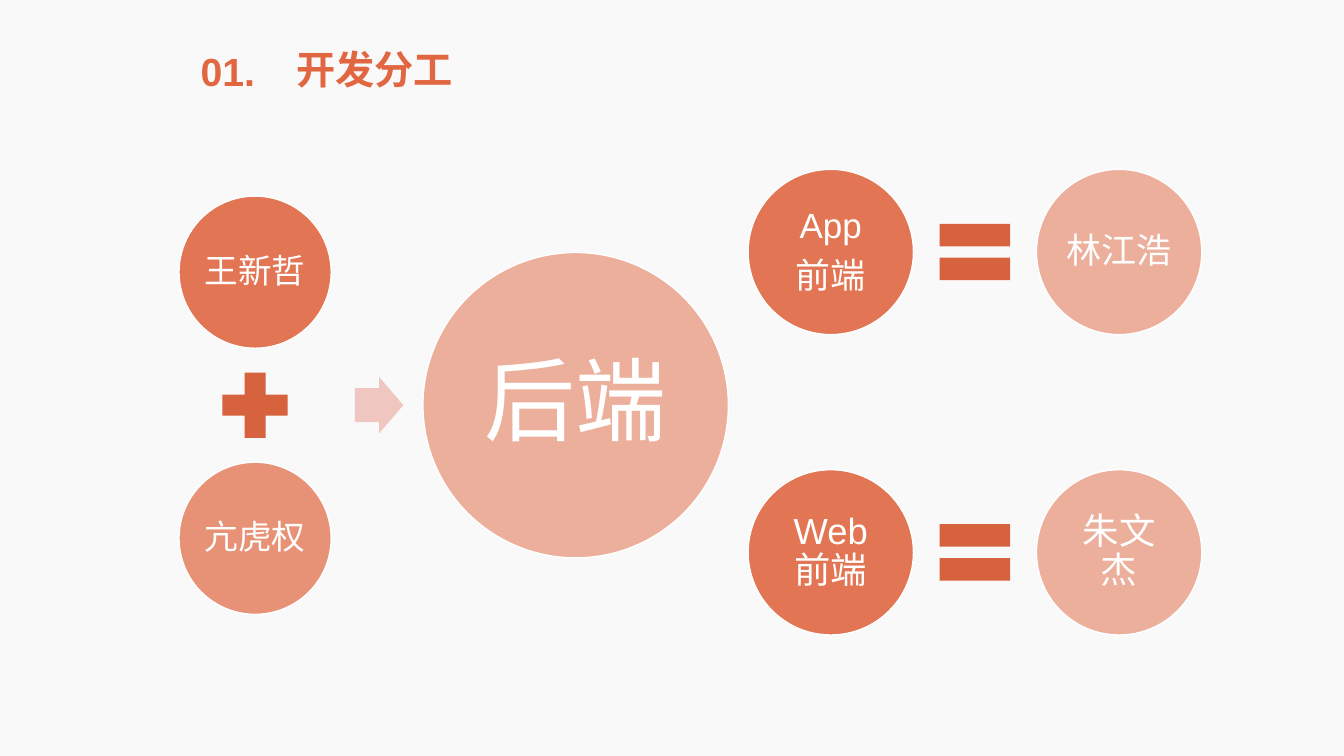
from dataclasses import dataclass

from lxml.etree import SubElement as Sub
from pptx import Presentation
from pptx.dml.color import RGBColor as RGB
from pptx.enum.shapes import MSO_SHAPE as Kind
from pptx.enum.text import MSO_ANCHOR as Anchor, MSO_AUTO_SIZE as Fit, PP_ALIGN as Align
from pptx.oxml.ns import qn
from pptx.util import Inches, Pt


@dataclass(frozen=True)
class Theme:
    back: str = "F9F9F9"
    main: str = "E06741"
    sign: str = "D6623E"
    arrow: str = "F0C7C0"
    white: str = "FFFFFF"
    font: str = "Arial"
    title: int = 28
    name: int = 24
    app: int = 25
    web: int = 26
    hub: int = 65


def put(item, form):
    for key, val in form.items():
        setattr(item, key, val)


class Board:
    def __init__(self, slide, theme):
        self.slide, self.theme = slide, theme
        self.paint(slide.background.fill, theme.back)

    def paint(self, fill, color):
        fill.solid()
        fill.fore_color.rgb = RGB.from_string(color)

    def style(self, para, size, color, bold=False):
        put(para.font, {"name": self.theme.font, "size": Pt(size), "bold": bold})
        para.font.color.rgb = RGB.from_string(color)

    def title(self, text, x, y, wide, align):
        box = self.slide.shapes.add_textbox(Inches(x), Inches(y), Inches(wide), Inches(0.57))
        frame = box.text_frame
        put(frame, {"text": text, "word_wrap": False, "auto_size": Fit.SHAPE_TO_FIT_TEXT})
        para = frame.paragraphs[0]
        para.alignment = align
        self.style(para, self.theme.title, self.theme.main, True)

    def shape(self, kind, x, y, wide, high, color):
        """Add a plain filled shape centred on x, y."""
        item = self.slide.shapes.add_shape(
            kind, Inches(x - wide / 2), Inches(y - high / 2), Inches(wide), Inches(high))
        item.shadow.inherit = False
        self.paint(item.fill, color)
        item.line.fill.background()
        return item

    def disc(self, text, x, y, wide, alpha, size, pad):
        """Add a tinted circle with its label inside."""
        item = self.shape(Kind.OVAL, x, y, wide, wide, self.theme.main)
        tint = item.fill._xPr.find(qn("a:solidFill"))[0]
        Sub(tint, qn("a:alpha"), val=str(alpha * 1000))
        self.paint(item.line.fill, self.theme.white)
        item.line.width = Pt(1)
        frame = item.text_frame
        put(frame, {"text": text, "word_wrap": True, "vertical_anchor": Anchor.MIDDLE})
        put(frame, {f"margin_{side}": Inches(pad) for side in ("left", "top", "right", "bottom")})
        for para in frame.paragraphs:
            put(para, {"alignment": Align.CENTER, "line_spacing": 0.9,
                       "space_after": Pt(round(size * 0.35))})
            self.style(para, size, self.theme.white)


def main():
    deck = Presentation()
    put(deck, {"slide_width": Inches(13.33), "slide_height": Inches(7.5)})
    theme = Theme()
    board = Board(deck.slides.add_slide(deck.slide_layouts[6]), theme)

    # Heading
    board.title("开发分工", 2.83, 0.4, 1.77, Align.CENTER)
    board.title("01.", 1.89, 0.42, 0.75, Align.LEFT)

    # Two people add up to the back end
    left, mid, gap = 2.53, 4.02, 1.32
    board.disc("王新哲", left, mid - gap, 1.51, 90, theme.name, 0.03)
    board.shape(Kind.MATH_PLUS, left, mid, 0.88, 0.88, theme.sign)
    board.disc("亢虎权", left, mid + gap, 1.51, 70, theme.name, 0.03)
    arrow = board.shape(Kind.RIGHT_ARROW, 3.76, mid, 0.48, 0.56, theme.arrow)
    arrow.adjustments[0] = 0.6
    board.disc("后端", 5.71, mid, 3.03, 50, theme.hub, 0.09)

    # Each front end equals one person
    rows = [("App\n前端", "林江浩", 2.5, theme.app, 0.03),
            ("Web前端", "朱文杰", 5.48, theme.web, 0.04)]
    for part, name, y, size, pad in rows:
        board.disc(part, 8.24, y, 1.64, 90, size, pad)
        board.shape(Kind.MATH_EQUAL, 9.67, y, 0.95, 0.95, theme.sign)
        board.disc(name, 11.1, y, 1.64, 50, size, pad)

    deck.save("out.pptx")


if __name__ == "__main__":
    main()
